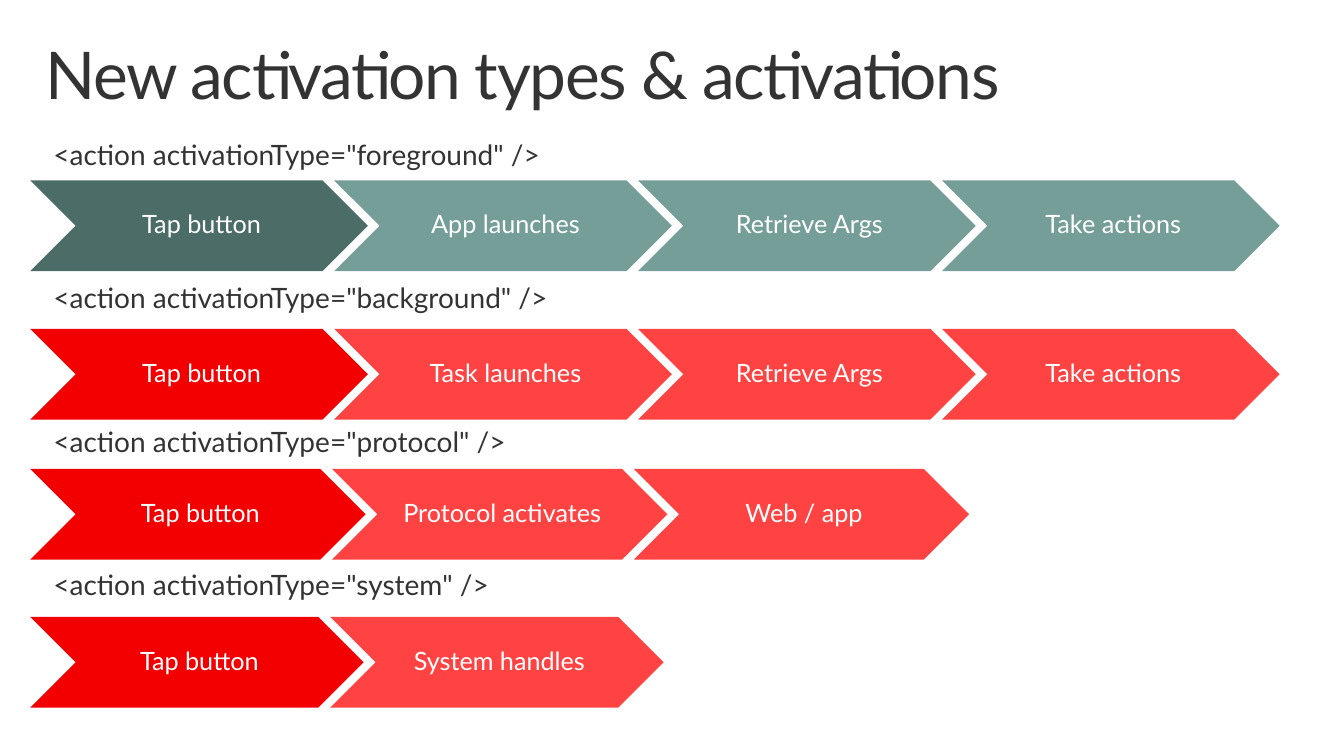
from pptx import Presentation
from pptx.dml.color import RGBColor
from pptx.enum.shapes import MSO_SHAPE as Shape
from pptx.enum.text import MSO_ANCHOR as Anchor, MSO_AUTO_SIZE as AutoSize, PP_ALIGN as Align
from pptx.util import Inches, Pt

COLORS = {
    "text": "333333",
    "white": "FFFFFF",
    "dark_teal": "4C6C68",
    "teal": "759E99",
    "dark_red": "F20000",
    "red": "FF4343",
}
COLUMNS, ROWS = 40, 30
CHEVRON_HEIGHT = 3.6  # rows
CHEVRON_STEP = 0.9  # share of a chevron's width
LABEL_TOP, LABEL_STEP = 5.2, 5.69  # rows

# Activation type, top row, chevron width in columns, colours, steps
FLOWS = [
    ("foreground", 7.16, 10.05, ("dark_teal", "teal"),
     ["Tap button", "App launches", "Retrieve Args", "Take actions"]),
    ("background", 13.05, 10.05, ("dark_red", "red"),
     ["Tap button", "Task launches", "Retrieve Args", "Take actions"]),
    ("protocol", 18.61, 9.98, ("dark_red", "red"),
     ["Tap button", "Protocol activates", "Web / app"]),
    ("system", 24.48, 9.92, ("dark_red", "red"),
     ["Tap button", "System handles"]),
]


def write(shape, text, *, size, color="text", align=Align.LEFT, anchor=Anchor.TOP,
          insets=(0.16, 0.1, 0.16, 0.1), spacing=None, font="Lato"):
    """Fill a shape with one formatted paragraph; insets run left, top, right, bottom."""
    frame = shape.text_frame
    frame.word_wrap = True
    frame.auto_size = AutoSize.NONE
    frame.vertical_anchor = anchor
    (frame.margin_left, frame.margin_top,
     frame.margin_right, frame.margin_bottom) = map(Inches, insets)
    paragraph = frame.paragraphs[0]
    paragraph.alignment = align
    paragraph.line_spacing = 0.9
    paragraph.space_before = Pt(0)
    run = paragraph.add_run()
    run.text = text
    run.font.name = font
    run.font.size = Pt(size)
    run.font.color.rgb = RGBColor.from_string(COLORS[color])
    if spacing is not None:
        run.font._element.set("spc", str(round(spacing * 100)))


class Deck:
    """Keeps the grid and the current slide."""

    def __init__(self, width, height):
        self.presentation = Presentation()
        self.presentation.slide_width = Inches(width)
        self.presentation.slide_height = Inches(height)
        self.column = Inches(width) / COLUMNS
        self.row = Inches(height) / ROWS
        self.slide = self.presentation.slides.add_slide(self.presentation.slide_layouts[5])

    def area(self, left, top, width, height):
        return (round(left * self.column), round(top * self.row),
                round(width * self.column), round(height * self.row))

    def title(self, text, *area):
        shape = self.slide.shapes.title
        shape.left, shape.top, shape.width, shape.height = self.area(*area)
        write(shape, text, size=47, spacing=-1)

    def label(self, text, *area):
        write(self.slide.shapes.add_textbox(*self.area(*area)), text, size=20)

    def chevron(self, text, fill, *area):
        shape = self.slide.shapes.add_shape(Shape.CHEVRON, *self.area(*area))
        shape.shadow.inherit = False
        shape.fill.solid()
        shape.fill.fore_color.rgb = RGBColor.from_string(COLORS[fill])
        shape.line.fill.background()
        write(shape, text, size=18, color="white", align=Align.CENTER,
              anchor=Anchor.MIDDLE, insets=(0.08, 0.03, 0.03, 0.03))


def main():
    deck = Deck(13.33, 7.5)
    deck.title("New activation types & activations", 0.87, 1.28, 38.25, 3.92)

    # Each activation type: its markup above a row of chevrons
    for index, (kind, top, width, (first_fill, next_fill), steps) in enumerate(FLOWS):
        deck.label(f'<action activationType="{kind}" />',
                   1.11, LABEL_TOP + index * LABEL_STEP, 18, 2)
        for position, step in enumerate(steps):
            deck.chevron(step, next_fill if position else first_fill,
                         0.9 + position * width * CHEVRON_STEP, top, width, CHEVRON_HEIGHT)

    deck.presentation.save("out.pptx")


if __name__ == "__main__":
    main()
